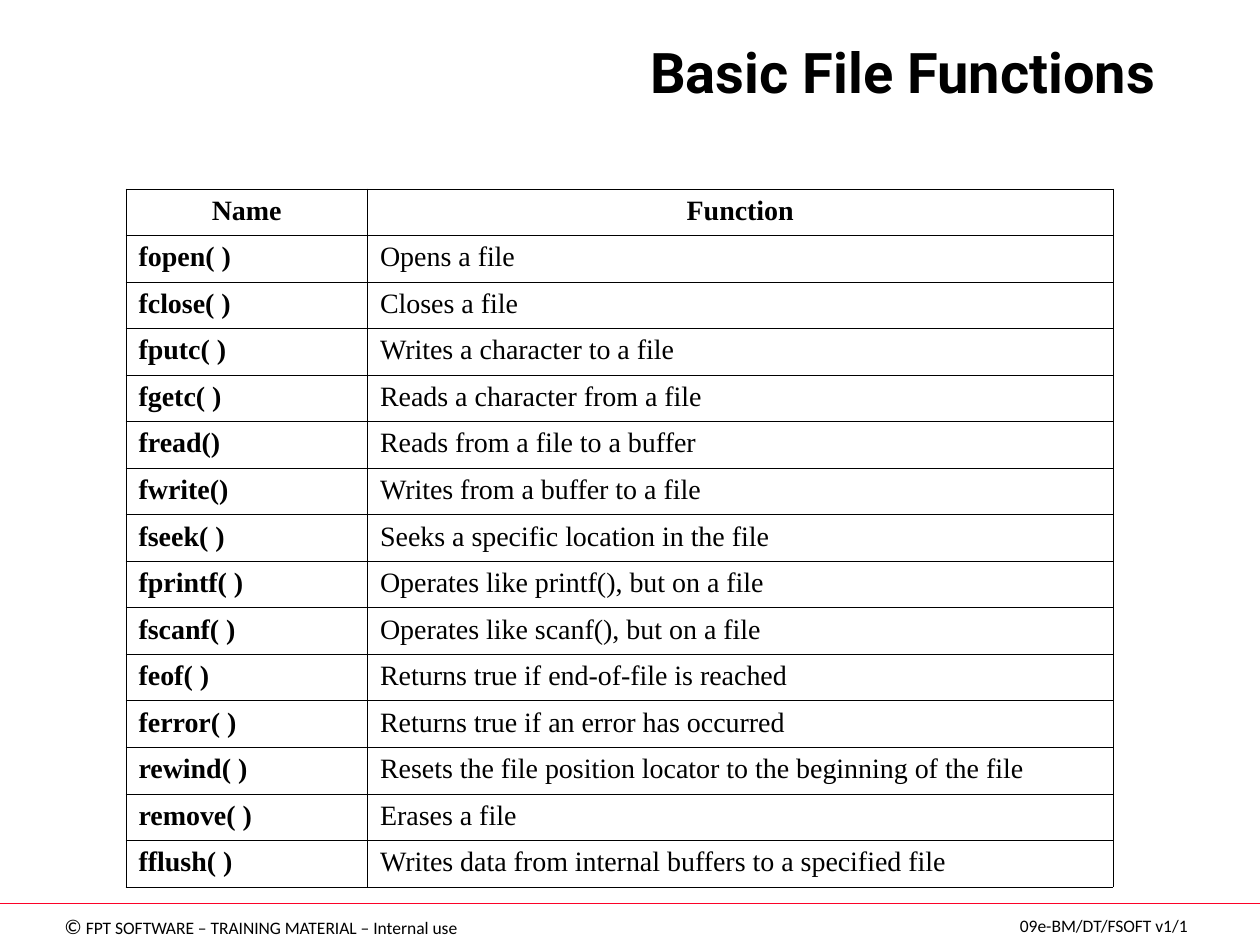
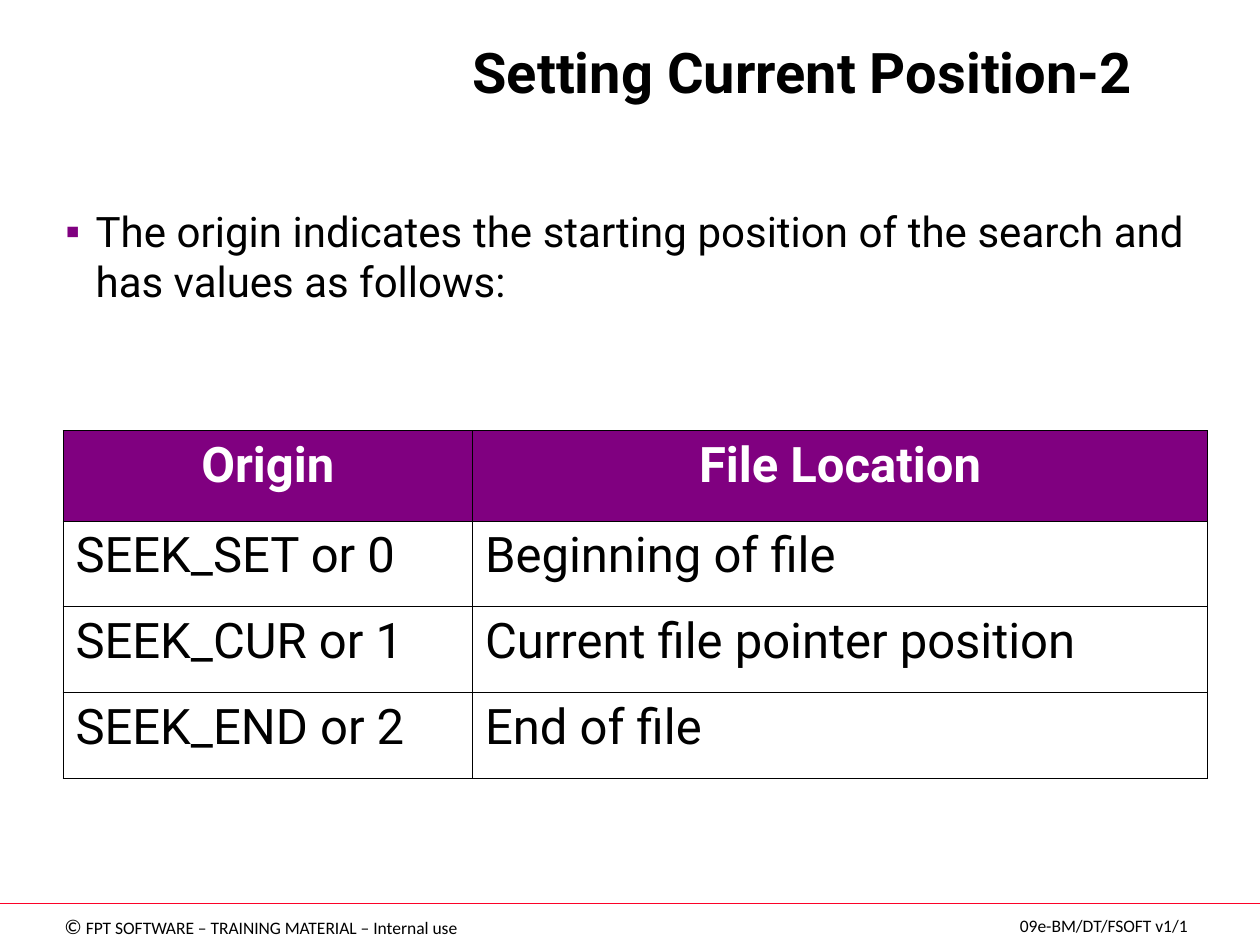
from lxml import etree
from pptx import Presentation
from pptx.dml.color import RGBColor
from pptx.enum.shapes import MSO_CONNECTOR
from pptx.enum.text import MSO_ANCHOR as ANCHOR, MSO_AUTO_SIZE as AUTO_SIZE, PP_ALIGN as ALIGN
from pptx.oxml.ns import qn
from pptx.util import Pt

# Content
FUNCTIONS = [
    ("Name", "Function"),
    ("fopen( )", "Opens a file"),
    ("fclose( )", "Closes a file"),
    ("fputc( )", "Writes a character to a file"),
    ("fgetc( )", "Reads a character from a file"),
    ("fread()", "Reads from a file to a buffer"),
    ("fwrite()", "Writes from a buffer to a file"),
    ("fseek( )", "Seeks a specific location in the file"),
    ("fprintf( )", "Operates like printf(), but on a file"),
    ("fscanf( )", "Operates like scanf(), but on a file"),
    ("feof( )", "Returns true if end-of-file is reached"),
    ("ferror( )", "Returns true if an error has occurred"),
    ("rewind( )", "Resets the file position locator to the beginning of the file"),
    ("remove( )", "Erases a file"),
    ("fflush( )", "Writes data from internal buffers to a specified file"),
]
ORIGINS = [
    ("Origin", "File Location"),
    ("SEEK_SET or 0", "Beginning of file"),
    ("SEEK_CUR or 1", "Current file pointer position"),
    ("SEEK_END or 2", "End of file"),
]
ORIGIN_INTRO = "The origin indicates the starting position of the search and has values as follows:"

# Footer boxes: left, top, width, height, runs of (text, size)
FOOTERS = [
    (28.8, 518.4, 240.5, 21.6,
     [("©", 12), (" FPT SOFTWARE – TRAINING MATERIAL – Internal use", 10)]),
    (575.3, 519.1, 110.9, 19.4, [("09e-BM/DT/FSOFT v1/1", 10)]),
]

# Shared style
COLORS = {"text": "000000", "rule": "FC0128", "accent": "800080", "white": "FFFFFF"}
WIDTH, HEIGHT = 720, 540
RULE_TOP = 516.2
BORDER_WIDTH = 0.45
TITLE_ONLY, TITLE_AND_BODY = 5, 1


def rgb(name):
    return RGBColor.from_string(COLORS[name])


def style_font(font, name, size=None, color="text", bold=False):
    font.name = name
    font.bold = bold
    font.color.rgb = rgb(color)
    if size:
        font.size = Pt(size)


def place(shape, left, top, width, height):
    shape.left, shape.top, shape.width, shape.height = map(Pt, (left, top, width, height))


def add_footer(slide):
    rule = slide.shapes.add_connector(
        MSO_CONNECTOR.STRAIGHT, Pt(0), Pt(RULE_TOP), Pt(WIDTH), Pt(RULE_TOP))
    rule.line.color.rgb = rgb("rule")
    rule.line.width = Pt(0.75)
    etree.SubElement(rule._element.spPr, qn("a:effectLst"))
    for left, top, width, height, runs in FOOTERS:
        box = slide.shapes.add_textbox(Pt(left), Pt(top), Pt(width), Pt(height))
        box.text_frame.word_wrap = False
        box.text_frame.vertical_anchor = ANCHOR.MIDDLE
        paragraph = box.text_frame.paragraphs[0]
        paragraph.alignment = ALIGN.CENTER
        style_font(paragraph.font, "Calibri")
        for text, size in runs:
            run = paragraph.add_run()
            run.text = text
            run.font.size = Pt(size)


def add_slide(presentation, layout, title, title_left, title_width):
    slide = presentation.slides.add_slide(presentation.slide_layouts[layout])
    add_footer(slide)
    shape = slide.shapes.title
    place(shape, title_left, 18, title_width, 46.1)
    frame = shape.text_frame
    frame.text = title
    frame.word_wrap = False
    frame.auto_size = AUTO_SIZE.NONE
    frame.vertical_anchor = ANCHOR.TOP
    paragraph = frame.paragraphs[0]
    paragraph.alignment = ALIGN.LEFT
    style_font(paragraph.font, "Roboto", 32, bold=True)
    return slide


def fill_body(slide, text):
    body = slide.placeholders[1]
    place(body, 30.2, 113.8, 653.8, 64.8)
    frame = body.text_frame
    frame.text = text
    frame.auto_size = AUTO_SIZE.NONE
    paragraph = frame.paragraphs[0]
    paragraph.alignment = ALIGN.JUSTIFY
    paragraph.space_before = Pt(0)
    properties = paragraph._p.get_or_add_pPr()
    properties.set("marL", str(Pt(17.3)))
    properties.set("indent", str(-Pt(17.3)))
    color = etree.SubElement(properties, qn("a:buClr"))
    etree.SubElement(color, qn("a:srgbClr"), val=COLORS["accent"])
    etree.SubElement(properties, qn("a:buChar"), char="▪")
    style_font(paragraph.font, "Roboto", 24)


def add_borders(cell):
    properties = cell._tc.get_or_add_tcPr()
    for side in ("lnL", "lnR", "lnT", "lnB"):
        line = etree.SubElement(properties, qn(f"a:{side}"), w=str(Pt(BORDER_WIDTH)))
        fill = etree.SubElement(line, qn("a:solidFill"))
        etree.SubElement(fill, qn("a:srgbClr"), val=COLORS["text"])


def add_grid(slide, rows, left, top, widths, heights, font, size, body_align,
             header_color="text", header_fill=None, bold_names=False):
    """Draw rows as a table; heights holds the header and the body row height."""
    row_heights = [heights[0]] + [heights[1]] * (len(rows) - 1)
    table = slide.shapes.add_table(
        len(rows), len(widths), Pt(left), Pt(top), Pt(sum(widths)), Pt(sum(row_heights))).table
    table.first_row = table.horz_banding = False
    for column, width in zip(table.columns, widths):
        column.width = Pt(width)
    for row_index, texts in enumerate(rows):
        table.rows[row_index].height = Pt(row_heights[row_index])
        header = row_index == 0
        for column_index, text in enumerate(texts):
            cell = table.cell(row_index, column_index)
            cell.text = text
            add_borders(cell)
            if header and header_fill:
                cell.fill.solid()
                cell.fill.fore_color.rgb = rgb(header_fill)
            else:
                cell.fill.background()
            paragraph = cell.text_frame.paragraphs[0]
            paragraph.alignment = ALIGN.CENTER if header else body_align
            style_font(paragraph.font, font, size, header_color if header else "text",
                       header or (bold_names and column_index == 0))


def main():
    presentation = Presentation()
    presentation.slide_width, presentation.slide_height = Pt(WIDTH), Pt(HEIGHT)

    # File functions
    slide = add_slide(presentation, TITLE_ONLY, "Basic File Functions", 364.3, 334.8)
    add_grid(slide, FUNCTIONS, 72, 108, (138, 426), (26.6, 26.6),
             "Times New Roman", 16, ALIGN.JUSTIFY, bold_names=True)

    # Seek origins
    slide = add_slide(presentation, TITLE_AND_BODY, "Setting Current Position-2", 262.8, 429.8)
    fill_body(slide, ORIGIN_INTRO)
    add_grid(slide, ORIGINS, 36, 246, (234, 420), (51.8, 49),
             "Roboto", 28, ALIGN.LEFT, header_color="white", header_fill="accent")

    presentation.save("out.pptx")


if __name__ == "__main__":
    main()
